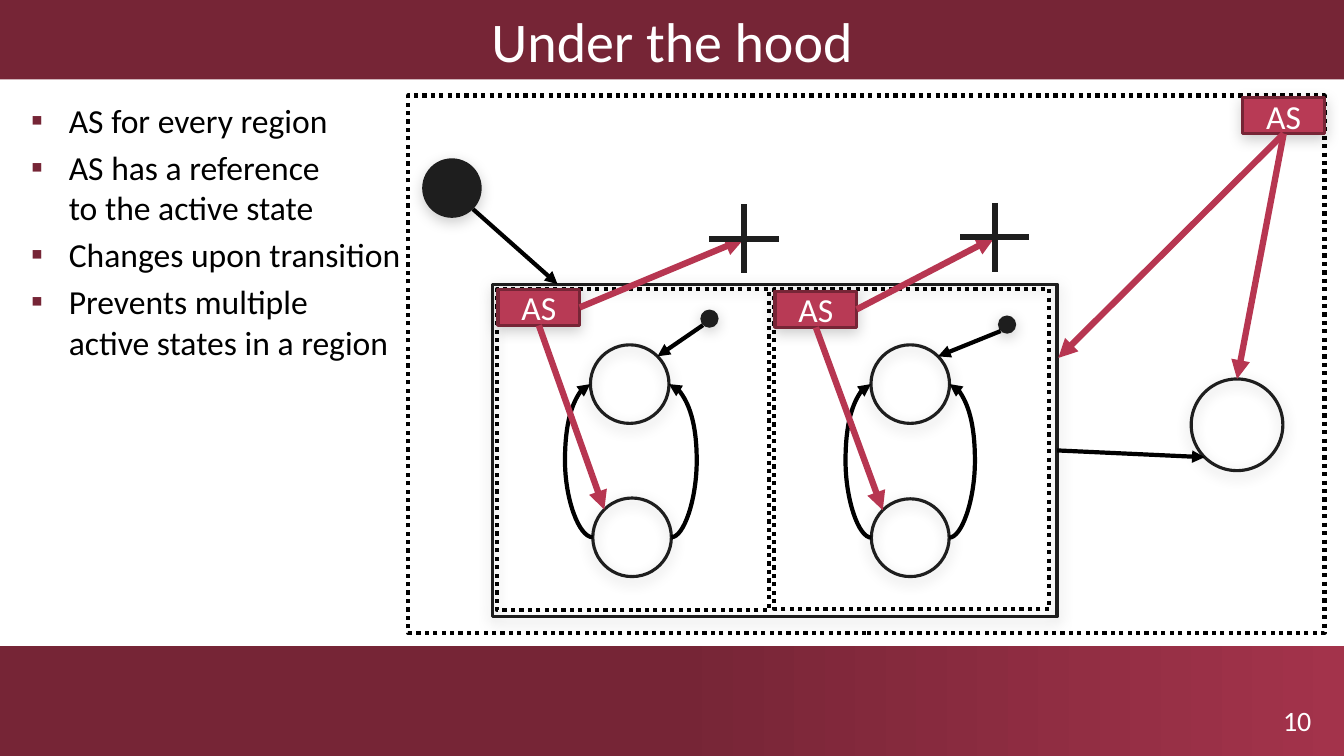
from dataclasses import dataclass
from math import cos, radians, sin

from lxml import etree
from pptx import Presentation
from pptx.dml.color import RGBColor
from pptx.enum import shapes, text
from pptx.oxml import ns
from pptx.util import Cm, Pt
from pptx.enum.dml import MSO_LINE

NW, NE, SE, SW, LEFT, RIGHT = 225, 315, 45, 135, 180, 0
BOTTOM_SIDE, RIGHT_SIDE = 2, 3


@dataclass(frozen=True)
class Theme:
    font: str = "Calibri"
    wine: str = "762536"
    wine_light: str = "A3334B"
    badge: str = "B83A55"
    reference: str = "B73651"
    ink: str = "1E1E1E"
    black: str = "000000"
    white: str = "FFFFFF"
    title_size: int = 40
    body_size: int = 24
    number_size: int = 20
    outline: float = 2.25
    line: float = 3
    bold_line: float = 4.5


@dataclass(frozen=True)
class Box:
    left: float
    top: float
    width: float
    height: float

    def lengths(self) -> tuple:
        return Cm(self.left), Cm(self.top), Cm(self.width), Cm(self.height)


@dataclass(frozen=True)
class Circle:
    left: float
    top: float
    size: float

    def rim(self, angle: float) -> tuple[float, float]:
        """Point on the circle, with the angle clockwise from the right."""
        radius = self.size / 2
        return (self.left + radius * (1 + cos(radians(angle))),
                self.top + radius * (1 + sin(radians(angle))))


@dataclass(frozen=True)
class Region:
    frame: Box
    start: Circle
    upper: Circle
    lower: Circle
    badge: tuple[float, float]
    cross: tuple[float, float]


THEME = Theme()
BULLETS = ("AS for every region", "AS has a reference\vto the active state",
           "Changes upon transition", "Prevents multiple\vactive states in a region")
REGIONS = (
    Region(Box(12.52, 7.29, 6.86, 8.08), Circle(17.65, 7.8, 0.46),
           Circle(14.88, 8.69, 1.98), Circle(14.94, 12.55, 1.98), (12.55, 7.29), (18.75, 6.02)),
    Region(Box(19.51, 7.29, 6.93, 8.05), Circle(25.15, 7.95, 0.46),
           Circle(21.95, 8.69, 1.98), Circle(21.96, 12.57, 1.96), (19.53, 7.34), (25.07, 5.98)),
)
OUTER = Box(10.29, 2.41, 23.09, 13.54)
STATE = Box(12.42, 7.16, 14.22, 8.38)
INITIAL = Circle(10.64, 3.99, 1.5)
FINAL = Circle(30.02, 9.55, 2.31)
MAIN_BADGE = (31.32, 2.46)
STATE_ENTRY, STATE_REFERENCE = (14.05, 7.16), (26.67, 9.02)
CROSS_ARM = 0.87
BULGE = 0.64


def rgb(colour: str) -> RGBColor:
    return RGBColor.from_string(colour)


def add_child(parent, tag: str, **attributes):
    return etree.SubElement(parent, ns.qn(tag), attributes)


def style_paragraph(para, size: int, colour: str, align) -> None:
    para.alignment = align
    para.font.name = THEME.font
    para.font.size = Pt(size)
    para.font.color.rgb = rgb(colour)


def cast_shadow(shape) -> None:
    effects = add_child(shape._element.spPr, "a:effectLst")
    shadow = add_child(effects, "a:outerShdw", blurRad=str(Pt(10)), dist=str(Pt(3)),
                       dir="5400000", rotWithShape="0")
    add_child(add_child(shadow, "a:srgbClr", val=THEME.black), "a:alpha", val="20000")


def add_outline(page, kind, box: Box, fill: str | None = None, line: str | None = None,
                width: float = THEME.outline, dotted: bool = False):
    shape = page.shapes.add_shape(kind, *box.lengths())
    if fill:
        shape.fill.solid()
        shape.fill.fore_color.rgb = rgb(fill)
    else:
        shape.fill.background()
    if line:
        shape.line.color.rgb = rgb(line)
        shape.line.width = Pt(width)
    else:
        shape.line.fill.background()
    if dotted:
        shape.line.dash_style = MSO_LINE.ROUND_DOT
        shape.shadow.inherit = False
    else:
        cast_shadow(shape)
    return shape


def add_dotted_frame(page, box: Box):
    return add_outline(page, shapes.MSO_SHAPE.RECTANGLE, box, line=THEME.black,
                       width=THEME.line, dotted=True)


def add_circle(page, circle: Circle, filled: bool = False):
    box = Box(circle.left, circle.top, circle.size, circle.size)
    return add_outline(page, shapes.MSO_SHAPE.OVAL, box, fill=THEME.ink if filled else None,
                       line=None if filled else THEME.ink)


def add_badge(page, corner: tuple[float, float]):
    badge = add_outline(page, shapes.MSO_SHAPE.RECTANGLE, Box(*corner, 2.06, 0.91),
                        fill=THEME.badge, line=THEME.wine)
    badge.text_frame.text = "AS"
    badge.text_frame.vertical_anchor = text.MSO_ANCHOR.MIDDLE
    style_paragraph(badge.text_frame.paragraphs[0], THEME.body_size, THEME.white,
                    text.PP_ALIGN.CENTER)
    return badge


def add_line(page, start, end, colour: str = THEME.black, width: float = THEME.line,
             arrow: bool = True, kind=shapes.MSO_CONNECTOR.STRAIGHT):
    line = page.shapes.add_connector(kind, *map(Cm, (*start, *end)))
    line.line.color.rgb = rgb(colour)
    line.line.width = Pt(width)
    if arrow:
        add_child(line.line._get_or_add_ln(), "a:tailEnd", type="triangle")
    add_child(line._element.spPr, "a:effectLst")
    return line


def add_joined_arrow(page, shape, side: int, end, colour: str = THEME.reference,
                     width: float = THEME.bold_line) -> None:
    """Arrow that starts at the middle of a rectangle's side."""
    add_line(page, (0, 0), end, colour, width).begin_connect(shape, side)


def add_bow(page, region: Region, side: int) -> None:
    """Curved arrow from the lower to the upper circle, bulging to one side."""
    start, end = region.lower.rim(side), region.upper.rim(side)
    outermost = min if side == LEFT else max
    crest = outermost(start[0], end[0]) + (-BULGE if side == LEFT else BULGE)
    bow = add_line(page, start, end, kind=shapes.MSO_CONNECTOR.CURVE)
    share = (crest - start[0]) / (end[0] - start[0])
    guides = bow._element.spPr.find(ns.qn("a:prstGeom")).get_or_add_avLst()
    add_child(guides, "a:gd", name="adj1", fmla=f"val {round(share * 100000)}")


def add_cross(page, centre: tuple[float, float]) -> None:
    x, y = centre
    for dx, dy in ((0, CROSS_ARM), (CROSS_ARM, 0)):
        add_line(page, (x - dx, y - dy), (x + dx, y + dy), THEME.ink, THEME.bold_line, arrow=False)


def add_region(page, region: Region) -> None:
    add_dotted_frame(page, region.frame)
    add_circle(page, region.start, filled=True)
    for circle in (region.upper, region.lower):
        add_circle(page, circle)
    for side in (LEFT, RIGHT):
        add_bow(page, region, side)
    add_line(page, region.start.rim(SW), region.upper.rim(NE))
    badge = add_badge(page, region.badge)
    add_joined_arrow(page, badge, BOTTOM_SIDE, region.lower.rim(NW))
    add_joined_arrow(page, badge, RIGHT_SIDE, region.cross)
    add_cross(page, region.cross)


def place(shape, box: Box) -> None:
    shape.left, shape.top, shape.width, shape.height = box.lengths()


def add_texts(page) -> None:
    title, body = page.placeholders
    place(title, Box(0, 0, 33.87, 2))
    title.fill.solid()
    title.fill.fore_color.rgb = rgb(THEME.wine)
    title.text_frame.text = "Under the hood"
    title.text_frame.vertical_anchor = text.MSO_ANCHOR.MIDDLE
    style_paragraph(title.text_frame.paragraphs[0], THEME.title_size, THEME.white,
                    text.PP_ALIGN.CENTER)
    place(body, Box(0.53, 2.39, 32.82, 13.61))
    body.text_frame.text = "\n".join(BULLETS)
    for para in body.text_frame.paragraphs:
        props = para._p.get_or_add_pPr()
        props.set("marL", str(Cm(0.95)))
        props.set("indent", str(Cm(-0.95)))
        add_child(add_child(props, "a:buClr"), "a:srgbClr", val=THEME.wine)
        add_child(props, "a:buFont", typeface=THEME.font)
        add_child(props, "a:buChar", char="▪")
        para.space_before = Pt(0.2 * THEME.body_size)
        style_paragraph(para, THEME.body_size, THEME.black, text.PP_ALIGN.LEFT)


def add_footer(page) -> None:
    band = page.shapes.add_shape(shapes.MSO_SHAPE.RECTANGLE,
                                 *Box(0, 16.28, 33.87, 2.77).lengths())
    band.shadow.inherit = False
    band.line.fill.background()
    band.fill.gradient()
    band.fill.gradient_angle = 0
    for stop, position, colour in zip(band.fill.gradient_stops, (0.5, 1),
                                      (THEME.wine, THEME.wine_light)):
        stop.position, stop.color.rgb = position, rgb(colour)
    number = page.shapes.add_textbox(*Box(25.68, 17.65, 7.62, 1.02).lengths()).text_frame
    number.word_wrap = True
    number.vertical_anchor = text.MSO_ANCHOR.MIDDLE
    number.text = "10"
    style_paragraph(number.paragraphs[0], THEME.number_size, THEME.white, text.PP_ALIGN.RIGHT)


def main() -> None:
    deck = Presentation()
    deck.slide_width, deck.slide_height = Cm(33.87), Cm(19.05)
    page = deck.slides.add_slide(deck.slide_layouts[1])
    add_texts(page)
    add_footer(page)
    add_dotted_frame(page, OUTER)
    state = add_outline(page, shapes.MSO_SHAPE.RECTANGLE, STATE, line=THEME.ink)
    for region in REGIONS:
        add_region(page, region)
    add_circle(page, INITIAL, filled=True)
    add_circle(page, FINAL)
    badge = add_badge(page, MAIN_BADGE)
    add_line(page, INITIAL.rim(SE), STATE_ENTRY)
    add_joined_arrow(page, state, RIGHT_SIDE, FINAL.rim(SW), THEME.black, THEME.line)
    for target in (STATE_REFERENCE, FINAL.rim(270)):
        add_joined_arrow(page, badge, BOTTOM_SIDE, target)
    deck.save("out.pptx")


if __name__ == "__main__":
    main()
